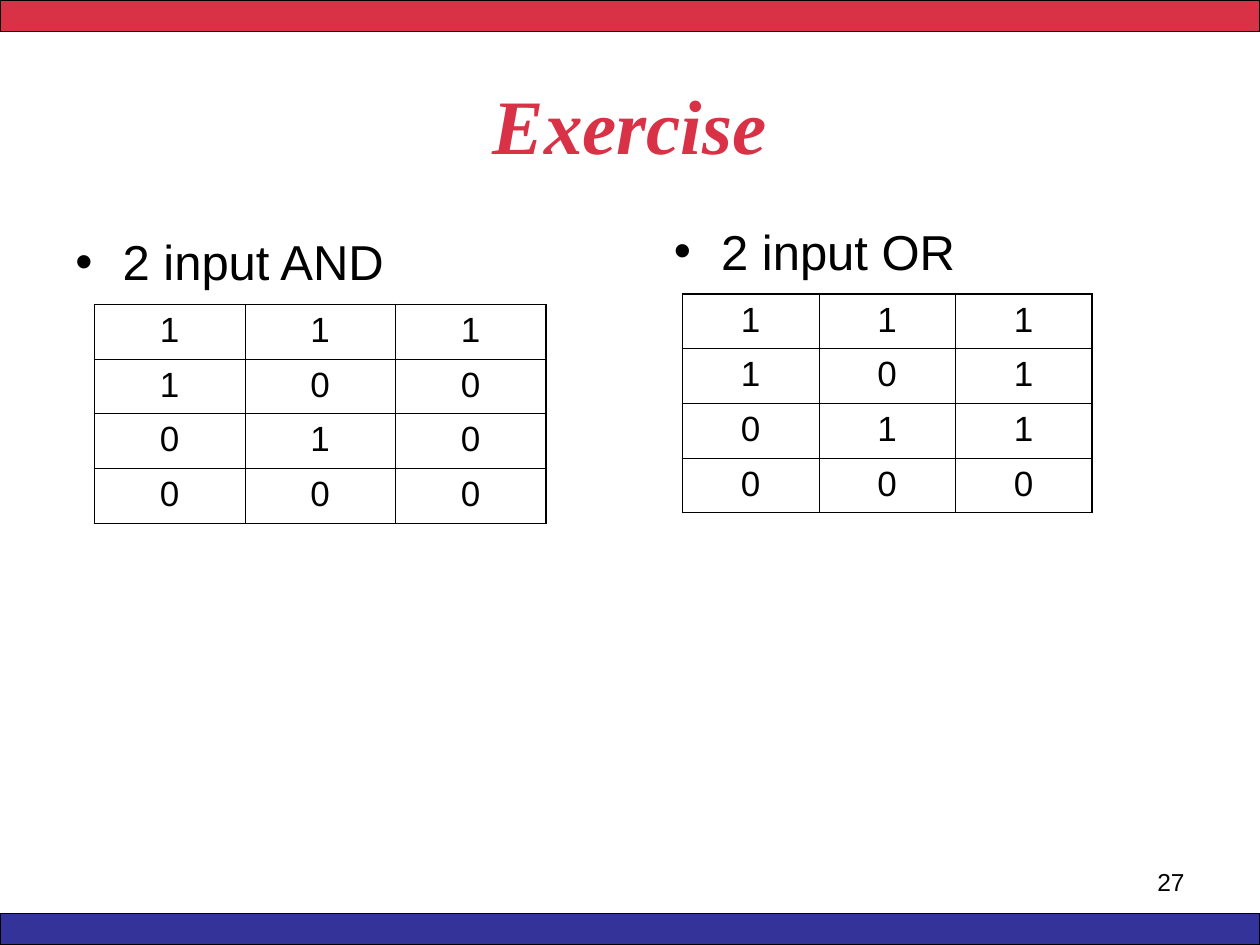
from lxml import etree
from pptx import Presentation
from pptx.dml.color import RGBColor
from pptx.enum.shapes import MSO_SHAPE
from pptx.enum.text import MSO_ANCHOR, PP_ALIGN
from pptx.oxml.ns import qn
from pptx.util import Pt

RECTANGLE = MSO_SHAPE.RECTANGLE
TOP, MIDDLE = MSO_ANCHOR.TOP, MSO_ANCHOR.MIDDLE
LEFT, CENTER, RIGHT = PP_ALIGN.LEFT, PP_ALIGN.CENTER, PP_ALIGN.RIGHT
COLORS = {"red": "D93145", "blue": "333399", "black": "000000"}
THIN, THICK = 0.45, 1.08


def color(name):
    return RGBColor.from_string(COLORS[name])


def write(paragraph, text, size, font="Arial", ink="black", bold=False,
          italic=False, align=LEFT, bullet_indent=None):
    paragraph.alignment = align
    if bullet_indent:
        properties = paragraph._p.get_or_add_pPr()
        properties.set("marL", str(Pt(bullet_indent)))
        properties.set("indent", str(-Pt(bullet_indent)))
        bullet_color = etree.SubElement(properties, qn("a:buClr"))
        etree.SubElement(bullet_color, qn("a:srgbClr"), val=COLORS[ink])
        etree.SubElement(properties, qn("a:buFont"), typeface="Arial")
        etree.SubElement(properties, qn("a:buChar"), char="•")
    run = paragraph.add_run()
    run.text = text
    run.font.size = Pt(size)
    run.font.name = font
    run.font.bold = bold
    run.font.italic = italic
    run.font.color.rgb = color(ink)


class SlideBuilder:
    """Hold the slide style and add each kind of element to the current slide."""

    def __init__(self, slide):
        self.slide = slide

    def bar(self, left, top, width, height, fill):
        shape = self.slide.shapes.add_shape(
            RECTANGLE, Pt(left), Pt(top), Pt(width), Pt(height))
        shape.shadow.inherit = False
        shape.fill.solid()
        shape.fill.fore_color.rgb = color(fill)
        shape.line.color.rgb = color("black")
        shape.line.width = Pt(0.75)

    def text(self, left, top, width, height, text, size,
             anchor=TOP, margin_top=3.6, **style):
        shape = self.slide.shapes.add_textbox(
            Pt(left), Pt(top), Pt(width), Pt(height))
        frame = shape.text_frame
        frame.word_wrap = True
        frame.vertical_anchor = anchor
        frame.margin_top = Pt(margin_top)
        write(frame.paragraphs[0], text, size, **style)

    def borders(self, cell, widths):
        properties = cell._tc.get_or_add_tcPr()
        for side, width in widths.items():
            line = etree.SubElement(properties, qn(f"a:ln{side}"), w=str(Pt(width)))
            fill = etree.SubElement(line, qn("a:solidFill"))
            etree.SubElement(fill, qn("a:srgbClr"), val=COLORS["black"])

    def truth_table(self, left, top, width, height, rows):
        columns = len(rows[0])
        table = self.slide.shapes.add_table(
            len(rows), columns, Pt(left), Pt(top), Pt(width), Pt(height)).table
        table.first_row = False
        table.horz_banding = False
        for row, values in enumerate(rows):
            for column, value in enumerate(values):
                cell = table.cell(row, column)
                self.borders(cell, {
                    "L": THICK if column == 0 else THIN,
                    "R": THICK if column == columns - 1 else THIN,
                    "T": THICK if row == 0 else THIN,
                    "B": THIN,
                })
                cell.fill.background()
                write(cell.text_frame.paragraphs[0], value, 20, align=CENTER)


def main():
    presentation = Presentation()
    presentation.slide_width = Pt(720)
    presentation.slide_height = Pt(540)
    builder = SlideBuilder(
        presentation.slides.add_slide(presentation.slide_layouts[6]))

    builder.bar(0, 0, 720, 18, "red")
    builder.bar(0, 522, 720, 18, "blue")
    builder.text(516, 492, 168, 37.5, "27", 14, align=RIGHT)
    builder.text(36, 21.6, 648, 90, "Exercise", 44, anchor=MIDDLE, margin_top=11.6,
                 font="Times New Roman", ink="red", bold=True, italic=True,
                 align=CENTER)

    gates = [
        ("2 input AND", (36, 126), (54, 174), 258, ["111", "100", "010", "000"]),
        ("2 input OR", (378, 120), (390, 168), 234, ["111", "101", "011", "000"]),
    ]
    for heading, text_corner, table_corner, table_width, rows in gates:
        builder.text(*text_corner, 318, 356.4, heading, 28, margin_top=6.5,
                     bullet_indent=27)
        builder.truth_table(*table_corner, table_width, 125, rows)

    presentation.save("out.pptx")


if __name__ == "__main__":
    main()
